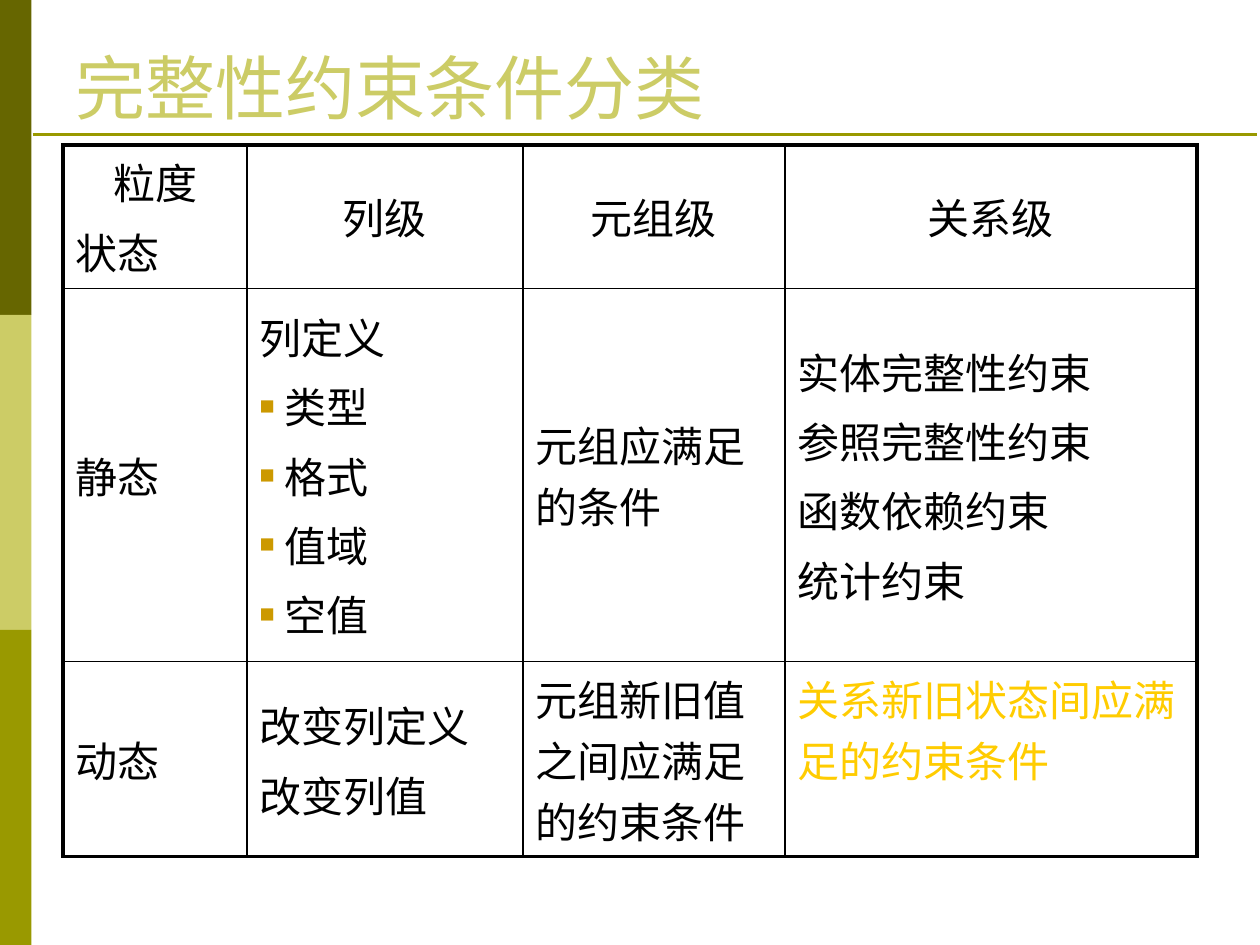
from lxml import etree
from pptx import Presentation
from pptx.dml.color import RGBColor
from pptx.enum.shapes import MSO_CONNECTOR as LINE, MSO_SHAPE as SHAPE
from pptx.enum.text import MSO_ANCHOR as ANCHOR, PP_ALIGN as ALIGN
from pptx.oxml import parse_xml
from pptx.oxml.ns import nsdecls, qn
from pptx.util import Inches, Pt

DARK = RGBColor(0x66, 0x66, 0x00)
PALE = RGBColor(0xCC, 0xCC, 0x66)
OLIVE = RGBColor(0x99, 0x99, 0x00)
BLACK = RGBColor(0, 0, 0)
GOLD = RGBColor(0xFF, 0xCC, 0x00)
OCHRE = RGBColor(0xCC, 0x99, 0x00)

TITLE = {"name": "Times New Roman", "size": Pt(40)}
BODY = {"name": "Roboto", "size": Pt(24)}


def write(para, text, style, color):
    run = para.add_run()
    run.text = text
    for key, value in style.items():
        setattr(run.font, key, value)
    run.font.color.rgb = color


def indent(para, left, bullet=False):
    """Indent a paragraph, hanging it behind a square bullet if asked."""
    props = para._p.get_or_add_pPr()
    props.set("marL", str(Inches(left)))
    props.set("indent", str(-Inches(left) if bullet else 0))
    if bullet:
        for xml in (
            f'<a:buClr {nsdecls("a")}><a:srgbClr val="{OCHRE}"/></a:buClr>',
            f'<a:buSzPct {nsdecls("a")} val="60000"/>',
            f'<a:buFont {nsdecls("a")} typeface="Times New Roman"/>',
            f'<a:buChar {nsdecls("a")} char="■"/>',
        ):
            props.append(parse_xml(xml))


prs = Presentation()
prs.slide_width, prs.slide_height = Inches(10), Inches(7.5)
slide = prs.slides.add_slide(prs.slide_layouts[6])
shapes = slide.shapes

# Side band and title rule
for i, color in enumerate((DARK, PALE, OLIVE)):
    band = shapes.add_shape(SHAPE.RECTANGLE, 0, Inches(2.5 * i), Inches(0.25), Inches(2.5))
    band.shadow.inherit = False
    band.fill.solid()
    band.fill.fore_color.rgb = color
    band.line.fill.background()

rule = shapes.add_connector(LINE.STRAIGHT, Inches(0.26), Inches(1.07), Inches(9.98), Inches(1.07))
rule.line.color.rgb = OLIVE
rule.line.width = Pt(1.5)
etree.SubElement(rule._element.spPr, qn("a:effectLst"))

# Title
frame = shapes.add_textbox(Inches(0.5), Inches(0.3), Inches(9), Inches(0.77)).text_frame
frame.word_wrap = True
frame.vertical_anchor = ANCHOR.BOTTOM
write(frame.paragraphs[0], "完整性约束条件分类", TITLE, PALE)

# Table: each cell is a list of paragraphs
ROWS = [
    [["粒度", "状态"], ["列级"], ["元组级"], ["关系级"]],
    [["静态"], ["列定义", "类型", "格式", "值域", "空值"], ["元组应满足的条件"],
     ["实体完整性约束", "参照完整性约束", "函数依赖约束", "统计约束"]],
    [["动态"], ["改变列定义", "改变列值"], ["元组新旧值之间应满足的约束条件"],
     ["关系新旧状态间应满足的约束条件"]],
]
WIDTHS = [1.46, 2.19, 2.08, 3.27]
HEIGHTS = [1.14, 2.96, 1.55]
TOP_CELLS = {(0, 0), (2, 2), (2, 3)}
LAST_ROW, LAST_COL = len(HEIGHTS) - 1, len(WIDTHS) - 1

table = shapes.add_table(len(HEIGHTS), len(WIDTHS), Inches(0.5), Inches(1.15),
                         Inches(sum(WIDTHS)), Inches(sum(HEIGHTS))).table
table.first_row = table.horz_banding = False
for col, width in zip(table.columns, WIDTHS):
    col.width = Inches(width)
for row, height in zip(table.rows, HEIGHTS):
    row.height = Inches(height)

for r, row in enumerate(ROWS):
    for c, lines in enumerate(row):
        cell = table.cell(r, c)
        props = cell._tc.get_or_add_tcPr()
        outer = {"L": c == 0, "R": c == LAST_COL, "T": r == 0, "B": r == LAST_ROW}
        for side, thick in outer.items():
            props.append(parse_xml(
                f'<a:ln{side} {nsdecls("a")} w="{Pt(2.25 if thick else 1)}"><a:solidFill>'
                f'<a:srgbClr val="{BLACK}"/></a:solidFill></a:ln{side}>'))
        cell.fill.background()
        cell.vertical_anchor = ANCHOR.TOP if (r, c) in TOP_CELLS else ANCHOR.MIDDLE

        frame = cell.text_frame
        for i, text in enumerate(lines):
            para = frame.add_paragraph() if i else frame.paragraphs[0]
            if i:
                para.space_before = Pt(4.8)
            if r == 0 and c > 0:
                para.alignment = ALIGN.CENTER
            if (r, c, i) == (0, 0, 0):
                indent(para, 0.3)
            elif (r, c) == (1, 1) and i:
                indent(para, 0.2, bullet=True)
            write(para, text, BODY, GOLD if (r, c) == (2, 3) else BLACK)

prs.save("out.pptx")
